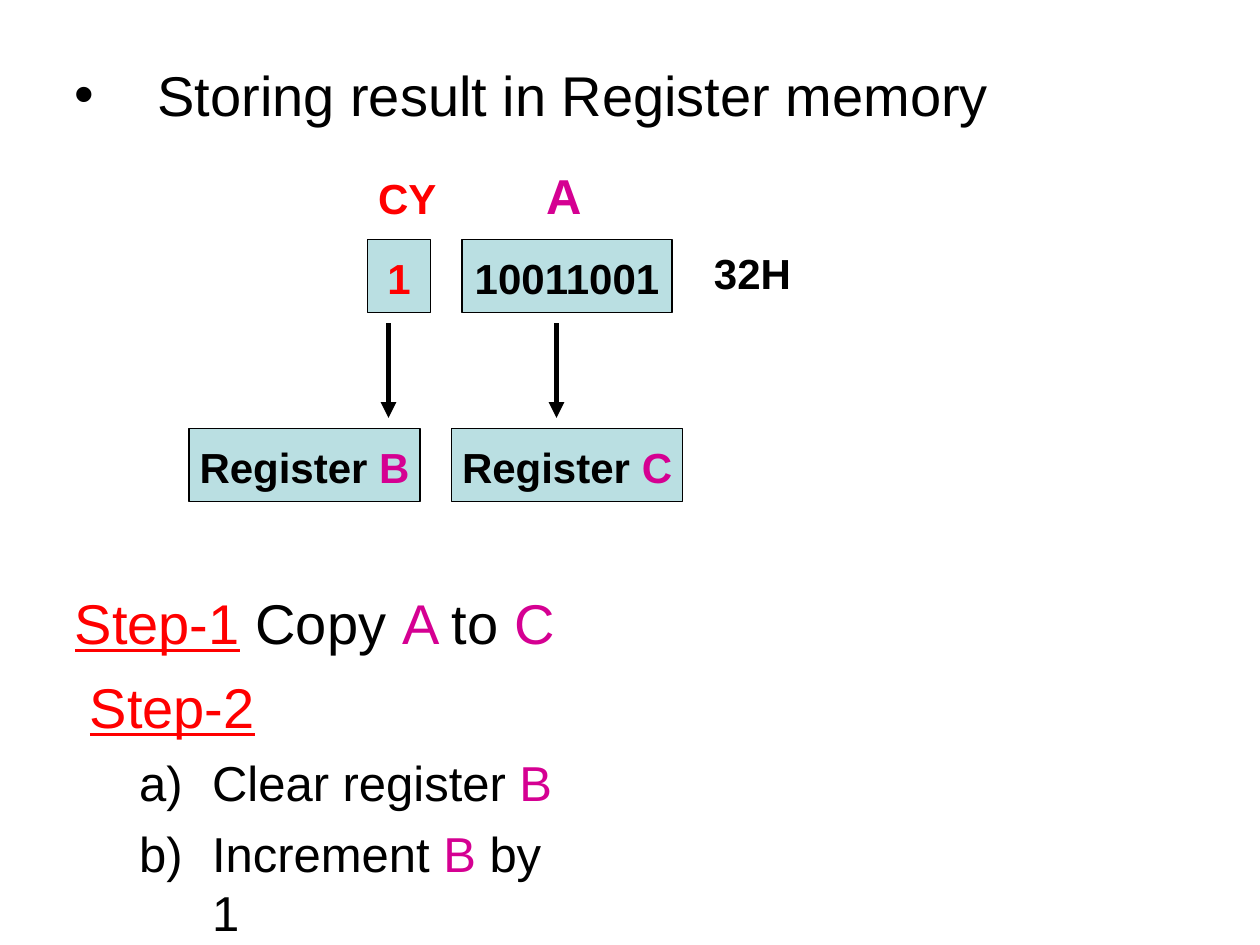
from dataclasses import dataclass

from lxml import etree
from pptx import Presentation
from pptx.dml.color import RGBColor
from pptx.enum.shapes import MSO_CONNECTOR, MSO_SHAPE
from pptx.enum.text import MSO_ANCHOR, MSO_AUTO_SIZE, PP_ALIGN
from pptx.oxml.ns import qn
from pptx.util import Inches, Pt

RECTANGLE = MSO_SHAPE.RECTANGLE
STRAIGHT = MSO_CONNECTOR.STRAIGHT
TOP, MIDDLE = MSO_ANCHOR.TOP, MSO_ANCHOR.MIDDLE
LEFT, CENTER = PP_ALIGN.LEFT, PP_ALIGN.CENTER
FIXED = MSO_AUTO_SIZE.NONE

CELL = 1 / 12  # grid step in inches: 120 columns by 90 rows


@dataclass(frozen=True)
class Theme:
    font: str = "Arial"
    ink: str = "000000"
    red: str = "FF0000"
    pink: str = "D50092"
    panel: str = "BADFE2"
    heading: int = 32
    item: int = 28
    label: int = 24
    outline: float = 0.75
    arrow: float = 3


def grid(*cells):
    return [Inches(cell * CELL) for cell in cells]


class SlideBuilder:
    def __init__(self, deck, theme):
        self.theme = theme
        self.page = deck.slides.add_slide(deck.slide_layouts[1])

    def frame(self, shape, anchor=TOP, wrap=False):
        frame = shape.text_frame
        frame.auto_size = FIXED
        frame.word_wrap = wrap
        frame.vertical_anchor = anchor
        frame.margin_left = frame.margin_right = frame.margin_bottom = 0
        frame.margin_top = Inches(0.02)
        return frame

    def add_spans(self, para, spans, size, bold=False, align=LEFT):
        para.alignment = align
        for text, color, *underline in spans:
            span = para.add_run()
            span.text = text
            font = span.font
            font.name, font.size, font.bold = self.theme.font, Pt(size), bold
            font.color.rgb = RGBColor.from_string(color)
            if underline:
                font.underline = True

    def place(self, shape, cells):
        shape.left, shape.top, shape.width, shape.height = grid(*cells)

    def list_style(self, para, margin, indent, bullet, **attributes):
        props = para._p.get_or_add_pPr()
        props.set("marL", str(Inches(margin)))
        props.set("indent", str(Inches(indent)))
        etree.SubElement(props, qn("a:" + bullet), **attributes)

    def title(self, cells, spans):
        shape = self.page.shapes.title
        self.place(shape, cells)
        para = self.frame(shape).paragraphs[0]
        self.add_spans(para, spans, self.theme.heading)

    def body(self, cells, steps, items):
        shape = self.page.placeholders[1]
        self.place(shape, cells)
        frame = self.frame(shape, wrap=True)
        frame.margin_right = Inches(0.1)
        for number, (indent, spans) in enumerate(steps):
            para = frame.add_paragraph() if number else frame.paragraphs[0]
            para.line_spacing = 1.26
            para.space_before = Pt(0)
            self.list_style(para, indent, 0, "buNone")
            self.add_spans(para, spans, self.theme.heading)
        for spans in items:
            para = frame.add_paragraph()
            para.space_before = Pt(7)
            self.list_style(para, 1.1, -0.58, "buAutoNum", type="alphaLcParenR")
            self.add_spans(para, spans, self.theme.item)

    def label(self, cells, text, color, size, bold=True):
        box = self.page.shapes.add_textbox(*grid(*cells))
        para = self.frame(box).paragraphs[0]
        self.add_spans(para, [(text, color)], size, bold)

    def register(self, cells, spans):
        box = self.page.shapes.add_shape(RECTANGLE, *grid(*cells))
        box.shadow.inherit = False
        box.fill.solid()
        box.fill.fore_color.rgb = RGBColor.from_string(self.theme.panel)
        box.line.color.rgb = RGBColor.from_string(self.theme.ink)
        box.line.width = Pt(self.theme.outline)
        para = self.frame(box, MIDDLE).paragraphs[0]
        self.add_spans(para, spans, self.theme.label, True, CENTER)

    def down_arrow(self, column, top, bottom):
        arrow = self.page.shapes.add_connector(
            STRAIGHT, *grid(column, top, column, bottom))
        arrow.line.color.rgb = RGBColor.from_string(self.theme.ink)
        arrow.line.width = Pt(self.theme.arrow)
        props = arrow._element.spPr
        etree.SubElement(props.find(qn("a:ln")), qn("a:tailEnd"), type="triangle")
        etree.SubElement(props, qn("a:effectLst"))


def main():
    deck = Presentation()
    deck.slide_width, deck.slide_height = Inches(10), Inches(7.5)
    theme = Theme()
    ink, red, pink = theme.ink, theme.red, theme.pink
    slide = SlideBuilder(deck, theme)

    # Heading
    slide.label((7.1, 5.2, 2.2, 6.7), "•", ink, theme.heading, bold=False)
    slide.title((15, 5.5, 79.4, 6.7), [("Storing result in Register memory", ink)])

    # Carry flag and accumulator, above the registers that receive them
    source_row, target_row, height = 22.8, 40.8, 7
    slide.register((35, source_row, 6, height), [("1", red)])
    slide.register((44, source_row, 20, height), [("10011001", ink)])
    for column, name in ((18, "B"), (43, "C")):
        slide.register((column, target_row, 22, height),
                       [("Register ", ink), (name, pink)])
    for column in (37, 53):
        slide.down_arrow(column, source_row + height + 1, target_row - 1)

    # Labels around the source boxes
    slide.label((36, 16.2, 5.9, 5.2), "CY", red, theme.label)
    slide.label((52, 15.5, 3.7, 5.9), "A", pink, theme.item)
    slide.label((68, 23.3, 7.7, 5.2), "32H", ink, theme.label)

    # Steps
    slide.body(
        (7, 54.1, 48.6, 29.3),
        steps=[
            (0.01, [("Step-1", red, True), (" Copy ", ink), ("A ", pink),
                    ("to ", ink), ("C", pink)]),
            (0.13, [("Step-2", red, True)]),
        ],
        items=[
            [("Clear register ", ink), ("B", pink)],
            [("Increment ", ink), ("B ", pink), ("by 1", ink)],
        ],
    )

    deck.save("out.pptx")


if __name__ == "__main__":
    main()
